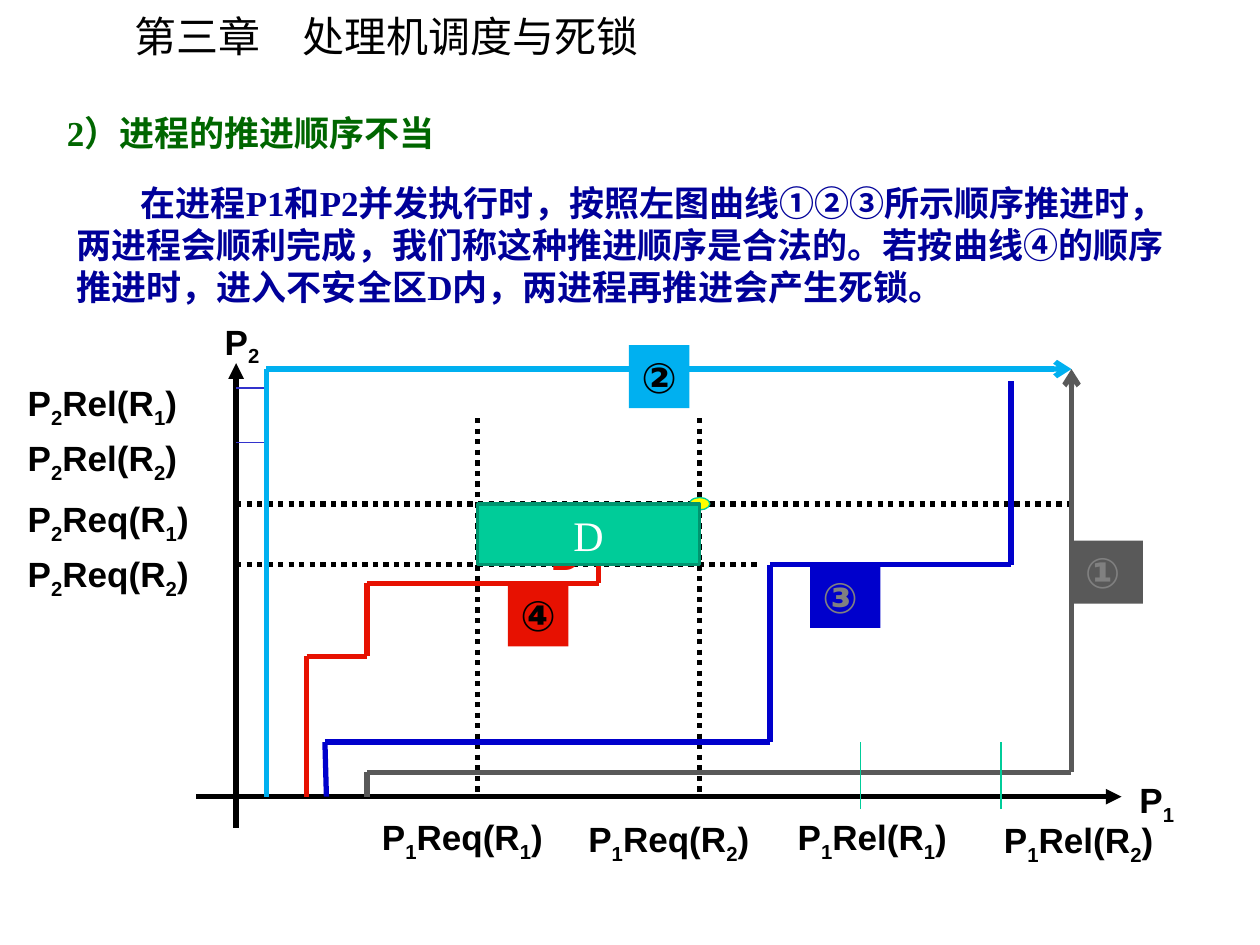
from itertools import pairwise

from lxml import etree
from pptx import Presentation
from pptx.dml.color import RGBColor
from pptx.enum.dml import MSO_LINE
from pptx.enum.shapes import MSO_CONNECTOR, MSO_SHAPE
from pptx.enum.text import MSO_ANCHOR, MSO_AUTO_SIZE, PP_ALIGN
from pptx.oxml.ns import qn
from pptx.util import Cm, Pt

STRAIGHT = MSO_CONNECTOR.STRAIGHT
RECTANGLE, OVAL = MSO_SHAPE.RECTANGLE, MSO_SHAPE.OVAL
DOTTED = MSO_LINE.ROUND_DOT
TOP, MIDDLE = MSO_ANCHOR.TOP, MSO_ANCHOR.MIDDLE
LEFT, CENTER, JUSTIFY = PP_ALIGN.LEFT, PP_ALIGN.CENTER, PP_ALIGN.JUSTIFY
NO_AUTOFIT = MSO_AUTO_SIZE.NONE

BLACK = RGBColor(0x00, 0x00, 0x00)
WHITE = RGBColor(0xFF, 0xFF, 0xFF)
HEADING_GREEN = RGBColor(0x00, 0x66, 0x00)
BODY_BLUE = RGBColor(0x00, 0x00, 0x99)
SKY = RGBColor(0x00, 0xB0, 0xF0)
DARK_GRAY = RGBColor(0x59, 0x59, 0x59)
MID_GRAY = RGBColor(0x80, 0x80, 0x80)
BLUE = RGBColor(0x00, 0x00, 0xCC)
TICK_BLUE = RGBColor(0x33, 0x33, 0xCC)
RED = RGBColor(0xE7, 0x11, 0x01)
TEAL = RGBColor(0x00, 0xCC, 0x99)
TEAL_EDGE = RGBColor(0x00, 0x95, 0x6F)
YELLOW = RGBColor(0xFF, 0xFF, 0x00)

SANS, SERIF, CJK = "Arial", "Times New Roman", "Noto Sans CJK SC"

# Diagram coordinates in centimetres
P2_AXIS, P1_AXIS = 4.76, 16.06
P1_REQ_R1, P1_REQ_R2 = 9.63, 14.1
P2_REQ_R1, P2_REQ_R2 = 10.16, 11.38
CURVE_2_X, CURVE_2_TOP, CURVE_END = 5.37, 7.44, 21.6

CURVES = [  # colour, arrowhead, corner points
    (SKY, "arrow", [(CURVE_2_X, P1_AXIS), (CURVE_2_X, CURVE_2_TOP),
                    (CURVE_END, CURVE_2_TOP)]),
    (DARK_GRAY, "arrow", [(7.4, P1_AXIS), (7.4, 15.57), (CURVE_END, 15.57),
                          (CURVE_END, CURVE_2_TOP)]),
    (BLUE, None, [(6.58, P1_AXIS), (6.55, 14.96), (15.52, 14.96),
                  (15.52, P2_REQ_R2), (20.38, P2_REQ_R2), (20.38, 7.69)]),
    (RED, None, [(6.18, P1_AXIS), (6.18, 13.23), (7.4, 13.23),
                 (7.4, 11.76), (12.07, 11.76), (12.07, 10.9)]),
]
GUIDES = [
    ((P1_REQ_R2, 8.43), (P1_REQ_R2, P1_AXIS)),
    ((P1_REQ_R1, 8.43), (P1_REQ_R1, P1_AXIS)),
    ((P2_AXIS, P2_REQ_R2), (15.32, P2_REQ_R2)),
    ((P2_AXIS, P2_REQ_R1), (CURVE_END, P2_REQ_R1)),
]
LABELS = [  # box, text with each subscript after "_"
    ((0.31, 7.57, 4.06, 1.22), "P_2Rel(R_1)"),
    ((0.31, 8.68, 4.06, 1.22), "P_2Rel(R_2)"),
    ((0.31, 9.91, 4.06, 1.22), "P_2Req(R_1)"),
    ((0.31, 11.02, 4.06, 1.22), "P_2Req(R_2)"),
    ((7.45, 16.32, 4.04, 1.22), "P_1Req(R_1)"),
    ((11.61, 16.36, 4.27, 1.22), "P_1Req(R_2)"),
    ((15.83, 16.32, 4.04, 1.22), "P_1Rel(R_1)"),
    ((19.99, 16.38, 4.04, 1.22), "P_1Rel(R_2)"),
    ((4.28, 6.33, 2.18, 1.22), "P_2"),
    ((22.72, 15.57, 2.54, 1.22), "P_1"),
]
BADGES = [  # box, fill, numeral, numeral colour
    ((12.68, 6.96, 1.22, 1.27), SKY, "②", BLACK),
    ((10.24, 11.76, 1.22, 1.27), RED, "④", BLACK),
    ((21.62, 10.9, 1.42, 1.27), DARK_GRAY, "①", MID_GRAY),
    ((16.33, 11.39, 1.42, 1.27), BLUE, "③", MID_GRAY),
]


def lengths(values):
    return [Cm(value) for value in values]


def place(placeholder, box):
    placeholder.left, placeholder.top, placeholder.width, placeholder.height = lengths(box)


def add_run(paragraph, text, size, font, color, bold=True, subscript=False):
    run = paragraph.add_run()
    run.text = text
    run.font.size, run.font.name, run.font.bold = Pt(size), font, bold
    run.font.color.rgb = color
    properties = run._r.get_or_add_rPr()
    etree.SubElement(properties, qn("a:ea")).set("typeface", CJK)
    if subscript:
        properties.set("baseline", "-25000")


def prepare_text(shape, align=LEFT, anchor=TOP, wrap=True):
    """Set the frame layout and return its first paragraph."""
    frame = shape.text_frame
    frame.auto_size = NO_AUTOFIT
    frame.word_wrap = wrap
    frame.vertical_anchor = anchor
    paragraph = frame.paragraphs[0]
    paragraph.alignment = align
    paragraph.space_before = Pt(0)
    return paragraph


def add_text_box(slide, box, align=LEFT):
    return prepare_text(slide.shapes.add_textbox(*lengths(box)), align)


def add_line(slide, start, end, color, width=3, dash=None, arrow=None):
    line = slide.shapes.add_connector(STRAIGHT, *lengths(start + end))
    line.line.color.rgb = color
    line.line.width = Pt(width)
    if dash:
        line.line.dash_style = dash
    if arrow:
        tail = etree.SubElement(line.line._get_or_add_ln(), qn("a:tailEnd"))
        tail.set("type", arrow)
    etree.SubElement(line._element.spPr, qn("a:effectLst"))


def add_curve(slide, color, arrow, points):
    """Draw a stepped curve with the arrowhead on its last segment."""
    for start, end in pairwise(points):
        is_last = end == points[-1]
        add_line(slide, start, end, color, arrow=arrow if is_last else None)


def add_filled_shape(slide, kind, box, fill, edge=None, edge_width=0.75):
    shape = slide.shapes.add_shape(kind, *lengths(box))
    shape.shadow.inherit = False
    shape.fill.solid()
    shape.fill.fore_color.rgb = fill
    if edge is None:
        shape.line.fill.background()
    else:
        shape.line.color.rgb = edge
        shape.line.width = Pt(edge_width)
    return shape


def add_label(slide, box, text):
    paragraph = add_text_box(slide, box)
    base, *rest = text.split("_")
    add_run(paragraph, base, 20, SANS, BLACK)
    for part in rest:
        add_run(paragraph, part[0], 20, SANS, BLACK, subscript=True)
        if part[1:]:
            add_run(paragraph, part[1:], 20, SANS, BLACK)


def add_wording(slide):
    title, body = slide.placeholders
    place(title, (2.46, 0.08, 10.85, 1.27))
    add_run(prepare_text(title, wrap=False), "第三章　处理机调度与死锁", 24, CJK, BLACK, bold=False)

    heading = add_text_box(slide, (1.1, 2.13, 22.66, 1.12), JUSTIFY)
    add_run(heading, "2）进程的推进顺序不当", 20, SERIF, HEADING_GREEN)

    place(body, (1.29, 3.53, 22.61, 2.79))
    paragraph = prepare_text(body)
    properties = paragraph._p.get_or_add_pPr()
    properties.set("marL", "0")
    properties.set("indent", str(Cm(1.29)))
    properties.set("hangingPunct", "0")
    etree.SubElement(properties, qn("a:buNone"))
    add_run(paragraph, "在进程P1和P2并发执行时，按照左图曲线①②③所示顺序推进时，"
            "两进程会顺利完成，我们称这种推进顺序是合法的。若按曲线④的顺序推进时，"
            "进入不安全区D内，两进程再推进会产生死锁。", 20, SERIF, BODY_BLUE)


def add_diagram(slide):
    add_line(slide, (P2_AXIS, 16.69), (P2_AXIS, 7.32), BLACK, arrow="triangle")
    add_line(slide, (3.96, P1_AXIS), (22.61, P1_AXIS), BLACK, arrow="triangle")
    for start, end in GUIDES:
        add_line(slide, start, end, BLACK, dash=DOTTED)
    for y in (8.92, 7.82):
        add_line(slide, (P2_AXIS, y), (CURVE_2_X, y), TICK_BLUE, 0.75)
    for curve in CURVES:
        add_curve(slide, *curve)
    add_run(add_text_box(slide, (10.85, 10.52, 1.83, 1.27)), "D", 24, SANS, RED)
    for x in (17.35, 20.18):
        add_line(slide, (x, 16.31), (x, 14.96), TEAL, 0.75)
    for label in LABELS:
        add_label(slide, *label)
    for box, fill, numeral, color in BADGES:
        badge = add_filled_shape(slide, RECTANGLE, box, fill)
        add_run(prepare_text(badge), numeral, 24, SANS, color)
    add_filled_shape(slide, OVAL, (13.9, 10.03, 0.41, 0.25), YELLOW, TEAL)
    unsafe_box = (P1_REQ_R1, P2_REQ_R1, P1_REQ_R2 - P1_REQ_R1, P2_REQ_R2 - P2_REQ_R1)
    unsafe_zone = add_filled_shape(slide, RECTANGLE, unsafe_box, TEAL, TEAL_EDGE, 2)
    add_run(prepare_text(unsafe_zone, CENTER, MIDDLE), "D", 24, SERIF, WHITE, bold=False)


def main():
    presentation = Presentation()
    presentation.slide_width, presentation.slide_height = Cm(25.4), Cm(19.05)
    slide = presentation.slides.add_slide(presentation.slide_layouts[1])
    add_wording(slide)
    add_diagram(slide)
    presentation.save("out.pptx")


if __name__ == "__main__":
    main()
